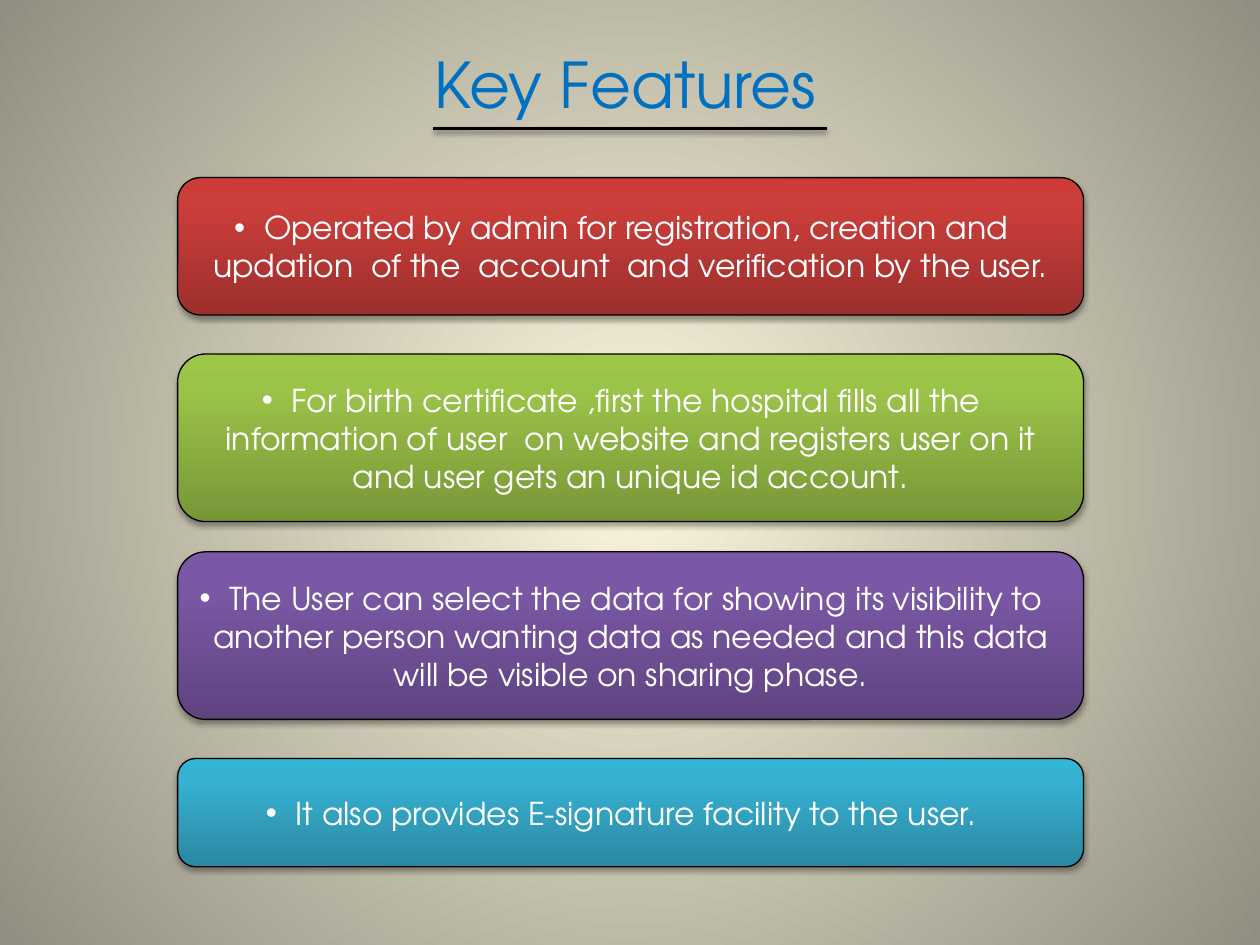
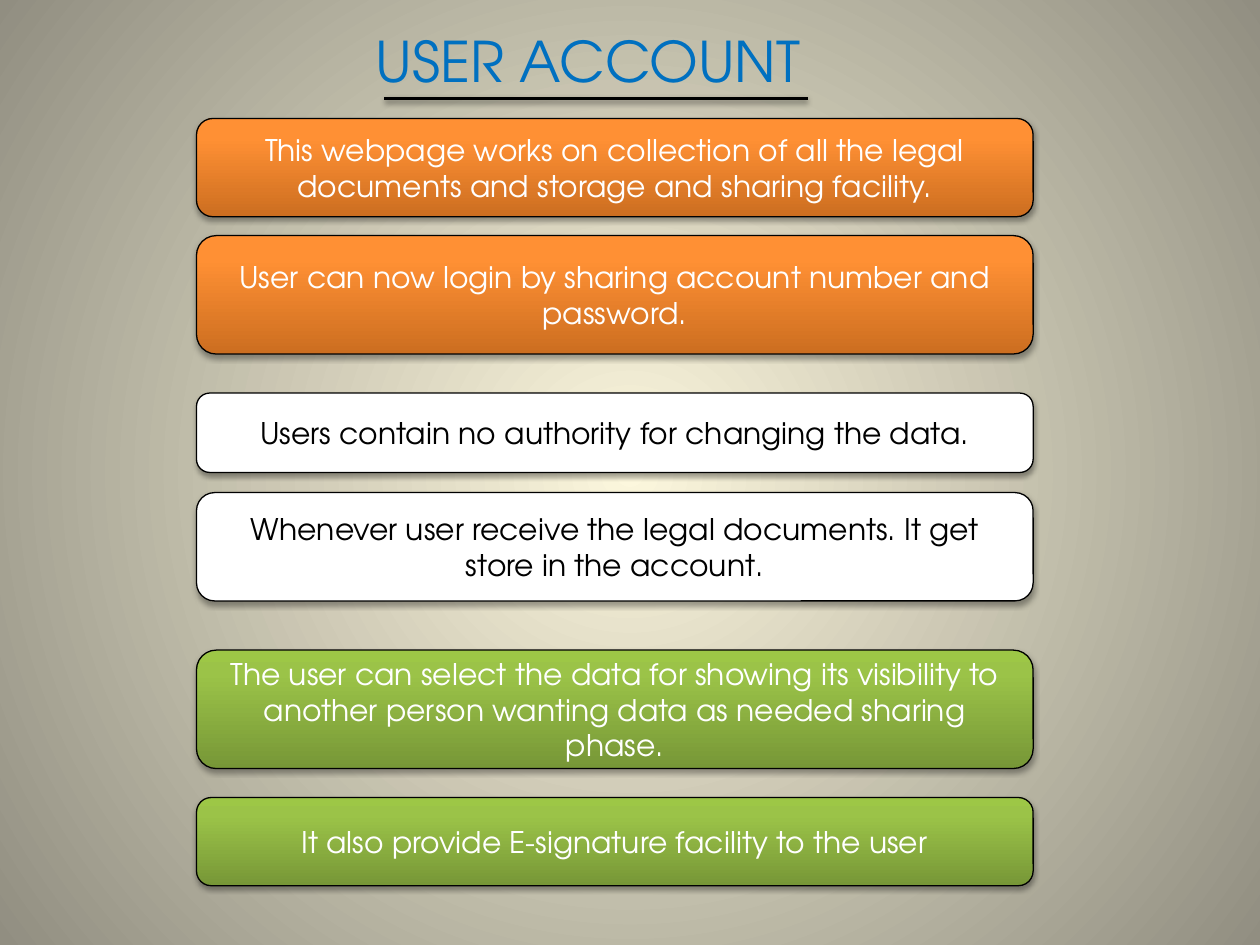
from pptx import Presentation
from pptx.dml.color import RGBColor
from pptx.enum.shapes import MSO_CONNECTOR, MSO_SHAPE
from pptx.enum.text import MSO_ANCHOR, MSO_AUTO_SIZE, PP_ALIGN
from pptx.oxml import parse_xml
from pptx.oxml.ns import nsdecls, qn
from pptx.util import Inches, Pt

FONT = "TeX Gyre Adventor"
COLORS = {
    "title": "0070C0",
    "black": "000000",
    "white": "FFFFFF",
    "glow": "FCF7DD",
    "edge": "918E81",
}
GRADIENTS = {
    "red": ("9C2F2D", "CB3E3A", "CE3B37"),
    "green": ("779737", "9BC348", "9DC746"),
    "purple": ("5F4480", "7B58A6", "7C57A8"),
    "blue": ("2A88A2", "37B1D2", "34B4D6"),
    "orange": ("CC6E20", "FF9034", "FF9136"),
}
UPWARD = '<a:lin ang="16200000" scaled="0"/>'
RADIAL = ('<a:path path="circle"><a:fillToRect l="50000" t="50000" '
          'r="50000" b="50000"/></a:path>')


def rgb(name):
    return RGBColor.from_string(COLORS[name])


def replace_gradient(parent, stops, direction):
    stop_xml = "".join(
        f'<a:gs pos="{position * 1000}"><a:srgbClr val="{color}"/></a:gs>'
        for position, color in stops)
    gradient = parse_xml(
        f'<a:gradFill {nsdecls("a")} rotWithShape="1">'
        f'<a:gsLst>{stop_xml}</a:gsLst>{direction}</a:gradFill>')
    parent.replace(parent.find(qn("a:gradFill")), gradient)


class Deck:
    def __init__(self):
        self.prs = Presentation()
        self.prs.slide_width = Inches(10)
        self.prs.slide_height = Inches(7.5)
        self.slide = None
        master = self.prs.slide_master
        master.background.fill.gradient()
        replace_gradient(master.element.find(".//" + qn("p:bgPr")),
                         [(0, COLORS["glow"]), (100, COLORS["edge"])], RADIAL)

    def add_slide(self):
        self.slide = self.prs.slides.add_slide(self.prs.slide_layouts[5])

    def centered_run(self, paragraph, text, size, color):
        paragraph.alignment = PP_ALIGN.CENTER
        run = paragraph.add_run()
        run.text = text
        run.font.name = FONT
        run.font.size = Pt(size)
        run.font.color.rgb = rgb(color)
        return run

    def drop_shadow(self, properties, opacity, distance):
        properties.append(parse_xml(
            f'<a:effectLst {nsdecls("a")}>'
            f'<a:outerShdw blurRad="{Pt(3.1)}" dist="{Pt(distance)}" '
            'dir="5400000" rotWithShape="0"><a:srgbClr val="000000">'
            f'<a:alpha val="{opacity * 1000}"/></a:srgbClr></a:outerShdw>'
            '</a:effectLst>'))

    def title(self, text, size, left, top, width, height):
        heading = self.slide.shapes.title
        heading.left, heading.top = Inches(left), Inches(top)
        heading.width, heading.height = Inches(width), Inches(height)
        frame = heading.text_frame
        frame.auto_size = MSO_AUTO_SIZE.NONE
        frame.word_wrap = False
        frame.vertical_anchor = MSO_ANCHOR.TOP
        run = self.centered_run(frame.paragraphs[0], text, size, "title")
        run.font._element.insert(0, parse_xml(
            f'<a:ln {nsdecls("a")} w="{Pt(0.25)}"><a:solidFill>'
            '<a:srgbClr val="000000"/></a:solidFill></a:ln>'))

    def underline(self, start, end, y):
        rule = self.slide.shapes.add_connector(
            MSO_CONNECTOR.STRAIGHT, Inches(start), Inches(y),
            Inches(end), Inches(y))
        rule.line.color.rgb = rgb("black")
        rule.line.width = Pt(2)
        self.drop_shadow(rule._element.spPr, 38, 1.6)

    def panel(self, text, color, size, left, top, width, height, bullet=False):
        panel = self.slide.shapes.add_shape(
            MSO_SHAPE.ROUNDED_RECTANGLE, Inches(left), Inches(top),
            Inches(width), Inches(height))
        properties = panel._element.spPr
        if color in GRADIENTS:
            panel.fill.gradient()
            replace_gradient(properties, zip((0, 80, 100), GRADIENTS[color]),
                             UPWARD)
        else:
            panel.fill.solid()
            panel.fill.fore_color.rgb = rgb(color)
        panel.line.color.rgb = rgb("black")
        panel.line.width = Pt(0.75)
        self.drop_shadow(properties, 35, 1.8)

        frame = panel.text_frame
        frame.word_wrap = True
        frame.vertical_anchor = MSO_ANCHOR.MIDDLE
        paragraph = frame.paragraphs[0]
        if bullet:
            settings = paragraph._p.get_or_add_pPr()
            settings.append(parse_xml(
                f'<a:buFont {nsdecls("a")} typeface="Arial"/>'))
            settings.append(parse_xml(
                f'<a:buChar {nsdecls("a")} char="•"/>'))
        self.centered_run(paragraph, text, size,
                          "black" if color == "white" else "white")


def key_features(deck):
    deck.add_slide()
    deck.title("Key Features", 36, 3.2, 0.31, 3.53, 0.71)
    features = [
        ("red", 1.41, 1.09,
         "Operated by admin for registration, creation and updation  of the  "
         "account  and verification by the user."),
        ("green", 2.81, 1.33,
         "For birth certificate ,first the hospital fills all the information "
         "of user  on website and registers user on it and user gets an "
         "unique id account."),
        ("purple", 4.38, 1.33,
         "The User can select the data for showing its visibility to another "
         "person wanting data as needed and this data will be visible on "
         "sharing phase."),
        ("blue", 6.02, 0.86,
         "It also provides E-signature facility to the user."),
    ]
    for color, top, height, text in features:
        deck.panel(text, color, 18, 1.41, top, 7.19, height, bullet=True)
    deck.underline(3.44, 6.56, 1.02)


def user_account(deck):
    deck.add_slide()
    deck.title("USER ACCOUNT ", 32, 2.8, 0.16, 3.86, 0.64)
    account_rules = [
        ("orange", 0.94, 0.78,
         "This webpage works on collection of all the legal documents and "
         "storage and sharing facility."),
        ("orange", 1.87, 0.94,
         "User can now login by sharing account number and password."),
        ("white", 3.12, 0.63,
         "Users contain no authority for changing the data."),
        ("white", 3.91, 0.86,
         "Whenever user receive the legal documents. It get store in the "
         "account."),
        ("green", 5.16, 0.94,
         "The user can select the data for showing its visibility to another "
         "person wanting data as needed sharing phase."),
        ("green", 6.33, 0.7,
         "It also provide E-signature facility to the user"),
    ]
    for color, top, height, text in account_rules:
        deck.panel(text, color, 17, 1.56, top, 6.64, height)
    deck.underline(3.05, 6.41, 0.78)


def main():
    deck = Deck()
    key_features(deck)
    user_account(deck)
    deck.prs.save("out.pptx")


if __name__ == "__main__":
    main()
